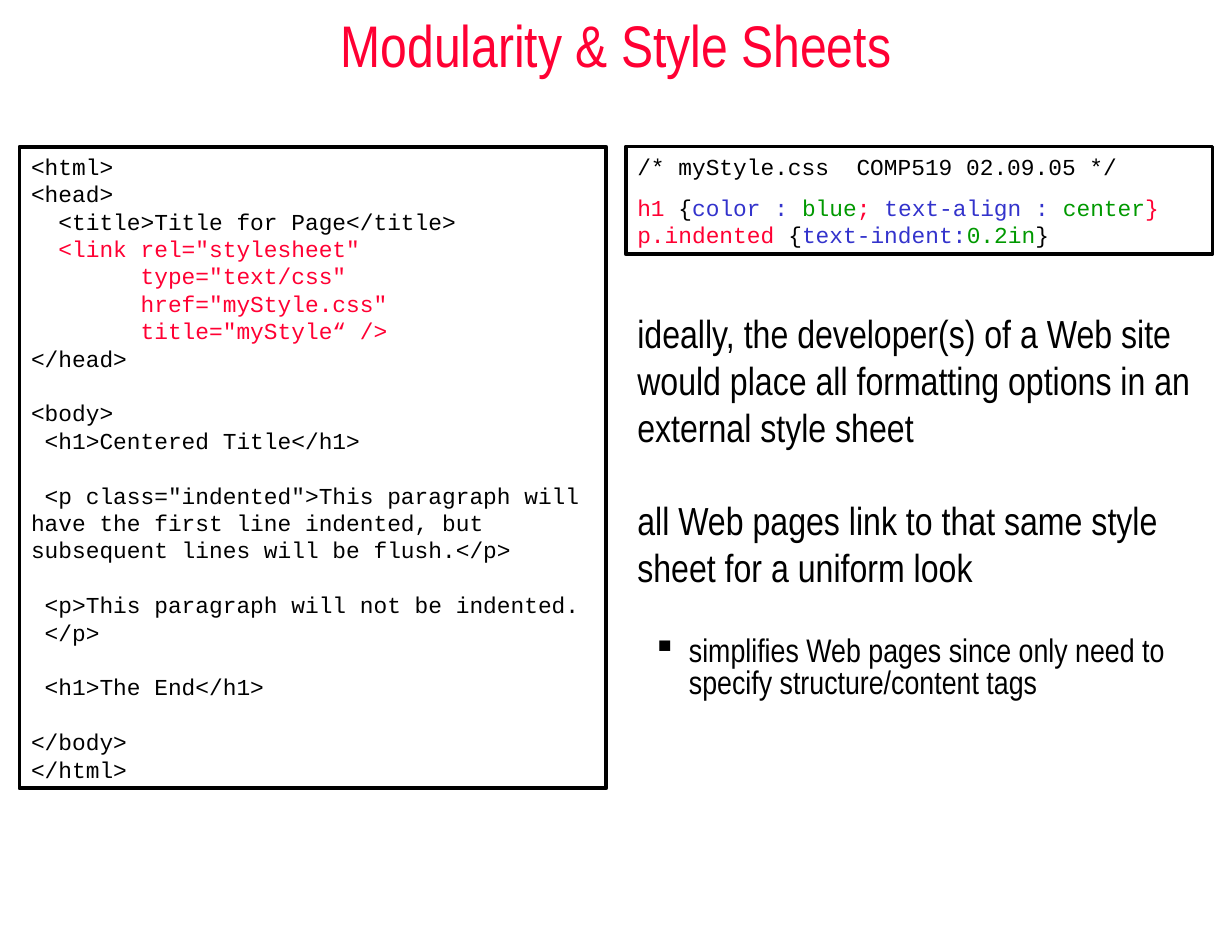
import pptx
import pptx.dml.color
import pptx.enum.shapes
import pptx.enum.text
import pptx.oxml
import pptx.oxml.ns
import pptx.util

Pt = pptx.util.Pt
UNIT = pptx.util.Inches(1) / 6  # one grid cell; the slide is 63 by 48 cells
LINE = 1.2  # line height over font size
BLACK, RED, BLUE, GREEN = "000000", "FF0033", "3333CC", "009900"
SANS, MONO = "Arial Narrow", "Courier New"

PAGE = [
    [
        [("<html>", BLACK)],
        [("<head>", BLACK)],
        [("  <title>Title for Page</title>", BLACK)],
        [('  <link rel="stylesheet"', RED)],
        [('        type="text/css"', RED)],
        [('        href="myStyle.css"', RED)],
        [('        title="myStyle“ />', RED)],
        [("</head>", BLACK)],
    ],
    [
        [("<body>", BLACK)],
        [(" <h1>Centered Title</h1>", BLACK)],
    ],
    [
        [(' <p class="indented">This paragraph will have the first line '
          "indented, but subsequent lines will be flush.</p>", BLACK)],
    ],
    [
        [(" <p>This paragraph will not be indented.", BLACK)],
        [(" </p>", BLACK)],
    ],
    [[(" <h1>The End</h1>", BLACK)]],
    [
        [("</body>", BLACK)],
        [("</html>", BLACK)],
    ],
]
STYLE = [
    [[("/* myStyle.css  COMP519 02.09.05 */", BLACK)]],
    [
        [("h1", RED), (" {", BLACK), ("color : ", BLUE), ("blue", GREEN),
         ("; ", RED), ("text-align : ", BLUE), ("center", GREEN), ("}", RED)],
        [("p.indented", RED), (" {", BLACK), ("text-indent:", BLUE),
         ("0.2in", GREEN), ("}", BLACK)],
    ],
]
NOTES = [
    "ideally, the developer(s) of a Web site would place all formatting "
    "options in an external style sheet",
    "all Web pages link to that same style sheet for a uniform look",
]
POINT = "simplifies Web pages since only need to specify structure/content tags"


def paint(hue):
    return pptx.dml.color.RGBColor.from_string(hue)


def cells(box):
    return [round(n * UNIT) for n in box]


def write(frame, text, size, first=False):
    """Add a paragraph of plain sans text."""
    para = frame.paragraphs[0] if first else frame.add_paragraph()
    para.text = text
    para.font.name, para.font.size = SANS, Pt(size)
    para.font.color.rgb = paint(BLACK)
    return para


def bullet(para, mark):
    props = para._p.get_or_add_pPr()
    props.set("marL", str(pptx.util.Inches(0.44)))
    props.set("indent", str(pptx.util.Inches(-0.31)))
    char = pptx.oxml.parse_xml(
        f'<a:buChar {pptx.oxml.ns.nsdecls("a")} char="{mark}"/>')
    props.append(char)


def title(slide, box, text):
    frame = slide.shapes.add_textbox(*cells(box)).text_frame
    frame.word_wrap = True
    frame.vertical_anchor = pptx.enum.text.MSO_ANCHOR.MIDDLE
    para = write(frame, text, 36, True)
    para.alignment = pptx.enum.text.PP_ALIGN.CENTER
    para.font.color.rgb = paint(RED)


def notes(slide, box):
    frame = slide.shapes.add_textbox(*cells(box)).text_frame
    frame.word_wrap = True
    for i, text in enumerate(NOTES):
        para = write(frame, text, 24, i == 0)
        if i:
            para.space_before = Pt(24 * LINE)
    para = write(frame, POINT, 20)
    para.space_before = Pt(24 * LINE)
    para.line_spacing = 0.8
    bullet(para, "▪")


def code(slide, box, blocks, gap):
    """Draw a framed listing; gap is the space in points between blocks."""
    rect = slide.shapes.add_shape(
        pptx.enum.shapes.MSO_SHAPE.RECTANGLE, *cells(box))
    rect.shadow.inherit = False
    rect.fill.background()
    rect.line.color.rgb, rect.line.width = paint(BLACK), Pt(2.25)
    frame = rect.text_frame
    frame.word_wrap = True
    frame.vertical_anchor = pptx.enum.text.MSO_ANCHOR.TOP
    for i, block in enumerate(blocks):
        for j, line in enumerate(block):
            para = frame.add_paragraph() if i or j else frame.paragraphs[0]
            para.alignment = pptx.enum.text.PP_ALIGN.LEFT
            para.font.name, para.font.size = MONO, Pt(14)
            if i and not j:
                para.space_before = Pt(gap)
            for text, hue in line:
                run = para.add_run()
                run.text = text
                run.font.color.rgb = paint(hue)


def main():
    deck = pptx.Presentation()
    deck.slide_width, deck.slide_height = cells((63, 48))
    slide = deck.slides.add_slide(deck.slide_layouts[6])
    title(slide, (0, 0, 63, 4.5), "Modularity & Style Sheets")
    notes(slide, (32, 15.5, 29.5, 22))
    code(slide, (1, 7.5, 30, 32.8), PAGE, 14 * LINE)
    code(slide, (32, 7.5, 30, 5.5), STYLE, 7 * LINE)
    deck.save("out.pptx")


if __name__ == "__main__":
    main()
